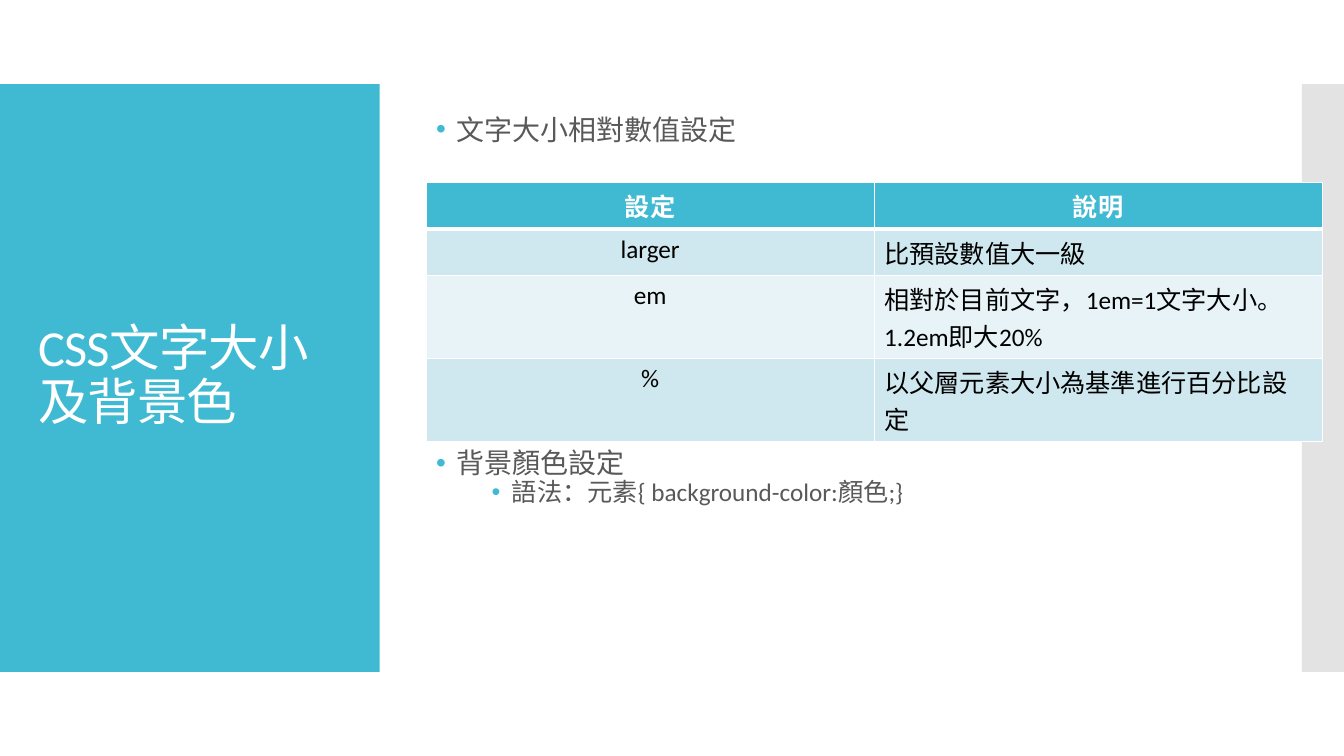
from lxml.etree import SubElement
from pptx import Presentation
from pptx.dml.color import RGBColor
from pptx.enum.shapes import MSO_SHAPE
from pptx.enum.text import MSO_ANCHOR, PP_ALIGN
from pptx.oxml import parse_xml
from pptx.oxml.ns import nsdecls, qn
from pptx.util import Cm, Pt

TEAL, WHITE, BLACK, GRAY = "40BAD2", "FFFFFF", "000000", "595959"
BANDS = ("CFE7EE", "E8F3F7")
ROWS = [
    ("設定", "說明"),
    ("larger", "比預設數值大一級"),
    ("em", "相對於目前文字，1em=1文字大小。1.2em即大20%"),
    ("%", "以父層元素大小為基準進行百分比設定"),
]
HEIGHTS = (1.17, 1.17, 2.09, 2.09)


def color(target, code):
    target.rgb = RGBColor.from_string(code)


def paint(fill, code):
    fill.solid()
    color(fill.fore_color, code)


def write(para, text, size, code, bold=False, **form):
    run = para.add_run()
    run.text = text
    for name, value in {"name": "Calibri", "size": Pt(size), "bold": bold}.items():
        setattr(run.font, name, value)
    color(run.font.color, code)
    for name, value in form.items():
        setattr(para, name, value)
    return run


def add_panel(slide, left, width, code, alpha=None):
    panel = slide.shapes.add_shape(
        MSO_SHAPE.RECTANGLE, Cm(left), Cm(2.12), Cm(width), Cm(14.81))
    panel.shadow.inherit = False
    paint(panel.fill, code)
    panel.line.fill.background()
    if alpha:
        tone = panel.fill._xPr.find(".//" + qn("a:srgbClr"))
        SubElement(tone, qn("a:alpha"), val=str(alpha * 1000))


def add_frame(slide, left, top, width, height):
    frame = slide.shapes.add_textbox(
        Cm(left), Cm(top), Cm(width), Cm(height)).text_frame
    for name, value in {"word_wrap": True, "vertical_anchor": MSO_ANCHOR.MIDDLE}.items():
        setattr(frame, name, value)
    return frame


def add_title(slide, text):
    frame = add_frame(slide, 0.71, 3.12, 8.18, 12.78)
    run = write(frame.paragraphs[0], text, 36, WHITE, line_spacing=0.9)
    run.font._element.set("spc", "-60")


def add_list(slide, top, height, items):
    frame = add_frame(slide, 10.74, top, 20.32, height)
    for pos, (text, size, level, indent) in enumerate(items):
        para = frame.add_paragraph() if pos else frame.paragraphs[0]
        write(para, text, size, GRAY, level=level, line_spacing=0.9)
        props = para._p.get_or_add_pPr()
        props.set("marL", str(Cm(indent)))
        props.set("indent", str(Cm(-0.51)))
        tint = SubElement(props, qn("a:buClr"))
        SubElement(tint, qn("a:srgbClr"), val=TEAL)
        SubElement(props, qn("a:buFont"), typeface="Arial")
        SubElement(props, qn("a:buChar"), char="•")


def add_edges(cell, head):
    props = cell._tc.get_or_add_tcPr()
    for pos, side in enumerate("LRTB"):
        width = Pt(3 if head and side == "B" else 1)
        props.insert(pos, parse_xml(
            f'<a:ln{side} {nsdecls("a")} w="{width}"><a:solidFill>'
            f'<a:srgbClr val="{WHITE}"/></a:solidFill></a:ln{side}>'))


def add_grid(slide):
    grid = slide.shapes.add_table(
        len(ROWS), 2, Cm(10.74), Cm(4.6), Cm(22.58), Cm(sum(HEIGHTS))).table
    for row, (texts, height) in enumerate(zip(ROWS, HEIGHTS)):
        head = row == 0
        grid.rows[row].height = Cm(height)
        for col, text in enumerate(texts):
            cell = grid.cell(row, col)
            paint(cell.fill, TEAL if head else BANDS[(row - 1) % 2])
            align = PP_ALIGN.CENTER if head or col == 0 else PP_ALIGN.LEFT
            write(cell.text_frame.paragraphs[0], text, 18,
                  WHITE if head else BLACK, head, alignment=align)
            add_edges(cell, head)


def main():
    deck = Presentation()
    deck.slide_width, deck.slide_height = Cm(33.87), Cm(19.05)
    slide = deck.slides.add_slide(deck.slide_layouts[6])

    # Side panels and title
    add_panel(slide, 0, 9.57, TEAL)
    add_panel(slide, 32.81, 1.06, "C8C8C8", 50)
    add_title(slide, "CSS文字大小及背景色")

    # Lists above and below the table
    add_list(slide, 2.7, 1.2, [("文字大小相對數值設定", 20, 0, 0.51)])
    add_list(slide, 11.0, 2.1, [
        ("背景顏色設定", 20, 0, 0.51),
        ("語法：元素{ background-color:顏色;}", 18, 1, 1.91),
    ])

    # Table of relative sizes
    add_grid(slide)
    deck.save("out.pptx")


if __name__ == "__main__":
    main()
